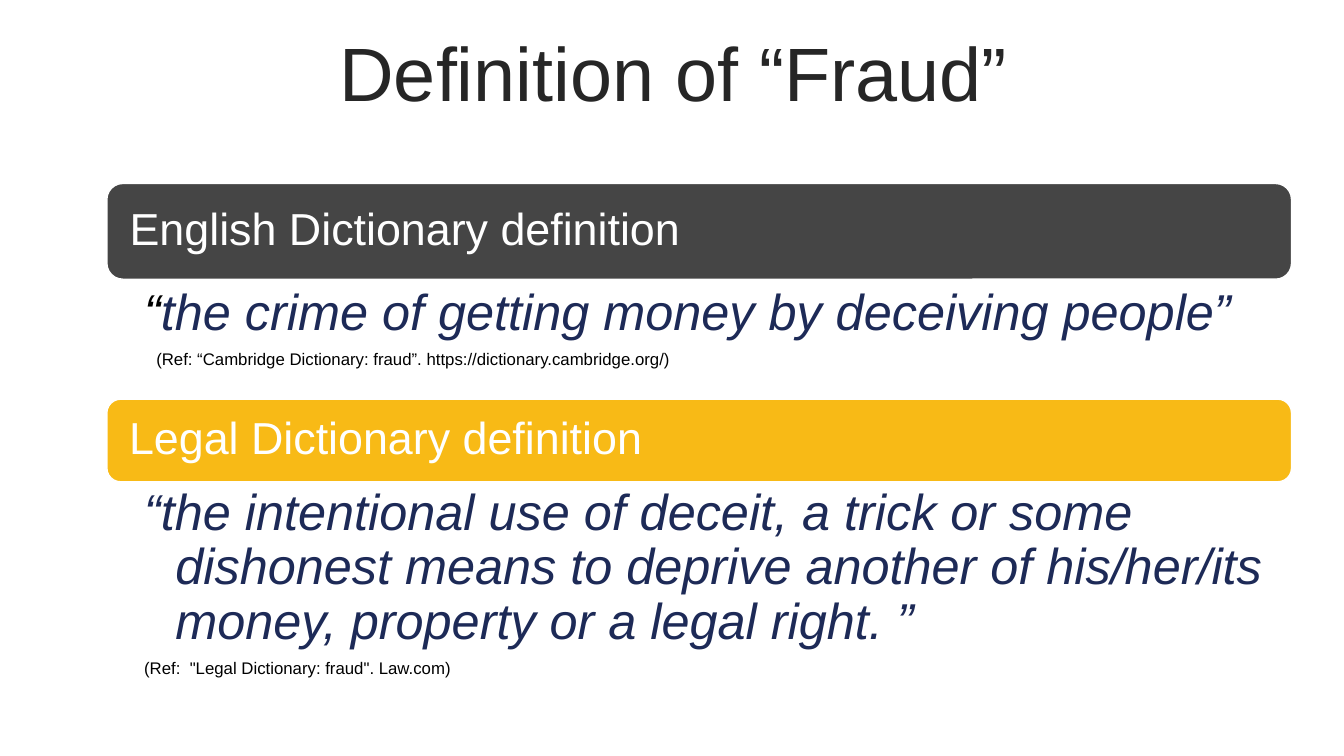
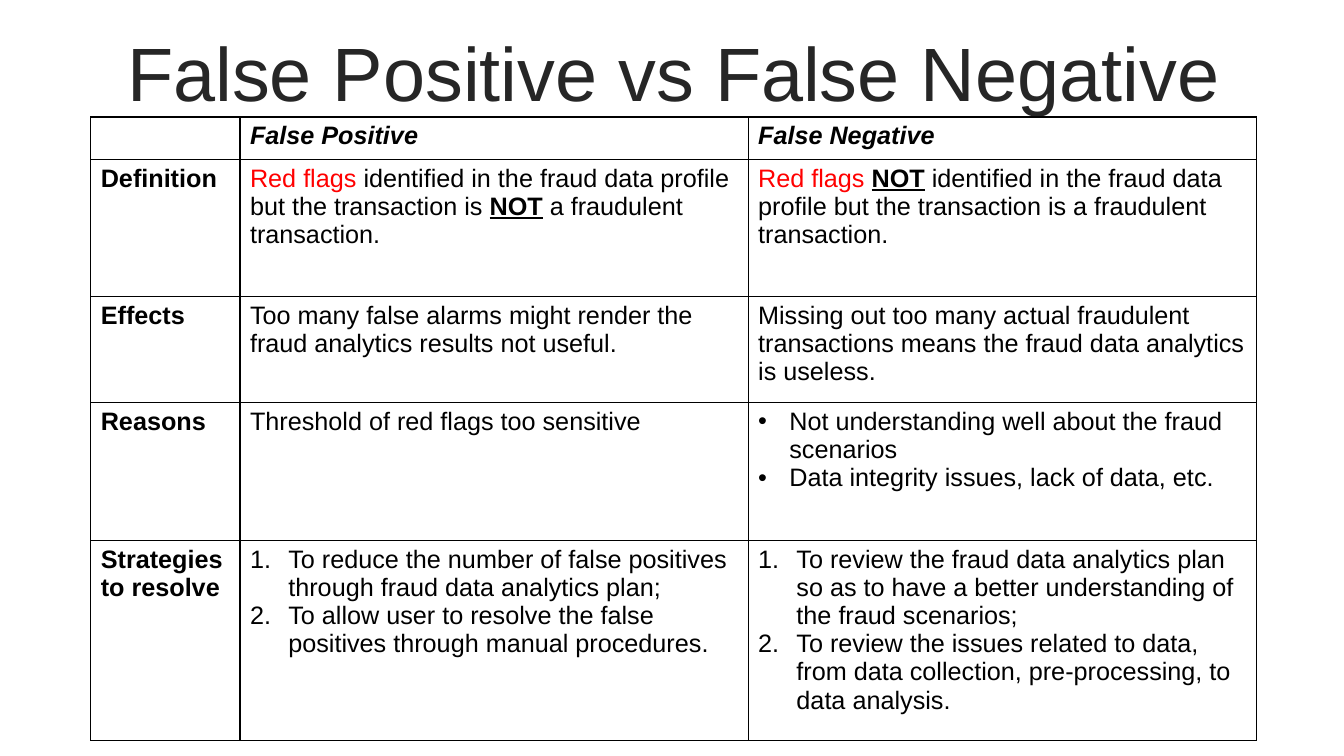
from lxml import etree
from pptx import Presentation
from pptx import util as u
from pptx.dml.color import RGBColor
from pptx.enum import shapes, text
from pptx.oxml import ns

SCALE = 9144
FONT = "Arial"
BLACK, WHITE, RED = "000000", "FFFFFF", "FF0000"
CHARCOAL, AMBER, NAVY, TITLE_INK = "454545", "F8BA16", "1D2A57", "262626"
TITLE_BOX = (35, 37, 1266, 79)
HEADINGS_BOX = (106, 182, 1175)
TABLE_BOX = (90, 116)
COLUMN_WIDTHS = (148, 504, 504)
ROW_HEIGHTS = (42, 136, 105, 137, 199)

DEFINITIONS = [
    dict(heading="English Dictionary definition", color=CHARCOAL, heights=(95, 3, 116),
         quote=[("“", BLACK), ("the crime of getting money by deceiving people”", NAVY)],
         reference="(Ref: “Cambridge Dictionary: fraud”. https://dictionary.cambridge.org/)",
         reference_indent=(12, 0)),
    dict(heading="Legal Dictionary definition", color=AMBER, heights=(82, 0, 196),
         quote=[("“the intentional use of deceit, a trick or some dishonest means to deprive "
                 "another of his/her/its money, property or a legal right. ”", NAVY)],
         reference='(Ref:  "Legal Dictionary: fraud". Law.com)',
         reference_indent=(12, -12)),
]

COMPARISON = [
    ["", [("False Positive", "bi")], [("False Negative", "bi")]],
    [[("Definition", "b")],
     [("Red flags ", "r"),
      ("identified in the fraud data profile but the transaction is ", ""),
      ("NOT", "bu"), (" a fraudulent transaction.", "")],
     [("Red flags ", "r"), ("NOT", "bu"),
      (" identified in the fraud data profile but the transaction is a fraudulent transaction.", "")]],
    [[("Effects", "b")],
     "Too many false alarms might render the fraud analytics results not useful.",
     "Missing out too many actual fraudulent transactions means the fraud data analytics is useless."],
    [[("Reasons", "b")],
     "Threshold of red flags too sensitive",
     ("dots", "Not understanding well about the fraud scenarios",
      "Data integrity issues, lack of data, etc.")],
    [[("Strategies to resolve", "b")],
     ("numbers", "To reduce the number of false positives through fraud data analytics plan;",
      "To allow user to resolve the false positives through manual procedures."),
     ("numbers", "To review the fraud data analytics plan so as to have a better understanding "
      "of the fraud scenarios;",
      "To review the issues related to data, from data collection, pre-processing, to data analysis.")],
]


def px(length):
    return u.Emu(length * SCALE)


def rgb(color):
    return RGBColor.from_string(color)


def style(item, size, color, bold=False, italic=False, underline=False):
    font = item.font
    font.name, font.size, font.color.rgb = FONT, u.Pt(size), rgb(color)
    font.bold, font.italic, font.underline = bold, italic, underline


def indent(paragraph, left, first):
    properties = paragraph._p.get_or_add_pPr()
    properties.set("marL", str(px(left)))
    properties.set("indent", str(px(first)))
    return properties


def add_list_mark(paragraph, kind):
    properties = indent(paragraph, *((31, -31) if kind == "dots" else (38, -38)))
    if kind == "dots":
        etree.SubElement(properties, ns.qn("a:buFont"), typeface=FONT)
        etree.SubElement(properties, ns.qn("a:buChar"), char="•")
    else:
        etree.SubElement(properties, ns.qn("a:buAutoNum"), type="arabicPeriod")


def set_insets(frame, left, top, right, bottom):
    frame.margin_left, frame.margin_top = px(left), px(top)
    frame.margin_right, frame.margin_bottom = px(right), px(bottom)


def new_slide(deck, heading):
    slide = deck.slides.add_slide(deck.slide_layouts[5])
    title = slide.shapes.title
    title.left, title.top, title.width, title.height = map(px, TITLE_BOX)
    frame = title.text_frame
    frame.text = heading
    frame.auto_size = text.MSO_AUTO_SIZE.NONE
    frame.vertical_anchor = text.MSO_ANCHOR.MIDDLE
    line = frame.paragraphs[0]
    line.alignment, line.line_spacing = text.PP_ALIGN.CENTER, 0.9
    style(line.runs[0], 54, TITLE_INK)
    return slide


def add_heading_bar(slide, box, heading, color):
    bar = slide.shapes.add_shape(shapes.MSO_SHAPE.ROUNDED_RECTANGLE, *map(px, box))
    bar.shadow.inherit = False
    bar.fill.solid()
    bar.fill.fore_color.rgb = rgb(color)
    bar.line.color.rgb, bar.line.width = rgb(WHITE), u.Pt(1)
    frame = bar.text_frame
    frame.text = heading
    frame.vertical_anchor = text.MSO_ANCHOR.MIDDLE
    set_insets(frame, 18, 13, 18, 13)
    line = frame.paragraphs[0]
    line.alignment, line.line_spacing = text.PP_ALIGN.LEFT, 0.9
    style(line.runs[0], 32, WHITE)


def add_quote(slide, box, quote, reference, reference_indent):
    frame = slide.shapes.add_textbox(*map(px, box)).text_frame
    frame.word_wrap = True
    set_insets(frame, 37, 5, 28, 5)
    saying, source = frame.paragraphs[0], frame.add_paragraph()
    indent(saying, 31, -31)
    indent(source, *reference_indent)
    for words, color in quote:
        run = saying.add_run()
        run.text = words
        style(run, 36, color, italic=True)
    source.text = reference
    style(source.runs[0], 12, BLACK)
    for line, after in ((saying, 7), (source, 2)):
        line.line_spacing, line.space_after = 0.9, u.Pt(after)


def add_definitions(slide, box):
    left, top, width = box
    for entry in DEFINITIONS:
        bar_height, gap, quote_height = entry["heights"]
        add_heading_bar(slide, (left, top, width, bar_height), entry["heading"], entry["color"])
        top += bar_height + gap
        add_quote(slide, (left, top, width, quote_height),
                  entry["quote"], entry["reference"], entry["reference_indent"])
        top += quote_height


def format_cell(cell):
    properties = cell._tc.get_or_add_tcPr()
    for side in ("lnL", "lnR", "lnT", "lnB"):
        border = etree.SubElement(properties, ns.qn("a:" + side), w=str(u.Pt(1)))
        fill = etree.SubElement(border, ns.qn("a:solidFill"))
        etree.SubElement(fill, ns.qn("a:srgbClr"), val=BLACK)
    cell.fill.solid()
    cell.fill.fore_color.rgb = rgb(WHITE)


def fill_cell(cell, content):
    frame = cell.text_frame
    if isinstance(content, list):
        for words, marks in content:
            run = frame.paragraphs[0].add_run()
            run.text = words
            style(run, 18, RED if "r" in marks else BLACK,
                  "b" in marks, "i" in marks, "u" in marks)
        return
    kind, *lines = content if isinstance(content, tuple) else (None, content)
    frame.text = "\n".join(lines)
    for line in frame.paragraphs:
        if kind:
            add_list_mark(line, kind)
        style(line, 18, BLACK)
        for run in line.runs:
            style(run, 18, BLACK)


def add_comparison(slide, box):
    grid = slide.shapes.add_table(len(ROW_HEIGHTS), len(COLUMN_WIDTHS), *map(px, box),
                                  px(sum(COLUMN_WIDTHS)), px(sum(ROW_HEIGHTS))).table
    grid.first_row = grid.horz_banding = False
    for column, width in zip(grid.columns, COLUMN_WIDTHS):
        column.width = px(width)
    for row, height, contents in zip(grid.rows, ROW_HEIGHTS, COMPARISON):
        row.height = px(height)
        for cell, content in zip(row.cells, contents):
            format_cell(cell)
            fill_cell(cell, content)


def main():
    deck = Presentation()
    deck.slide_width, deck.slide_height = px(1333), px(750)
    add_definitions(new_slide(deck, "Definition of “Fraud”"), HEADINGS_BOX)
    add_comparison(new_slide(deck, "False Positive vs False Negative"), TABLE_BOX)
    deck.save("out.pptx")


if __name__ == "__main__":
    main()
